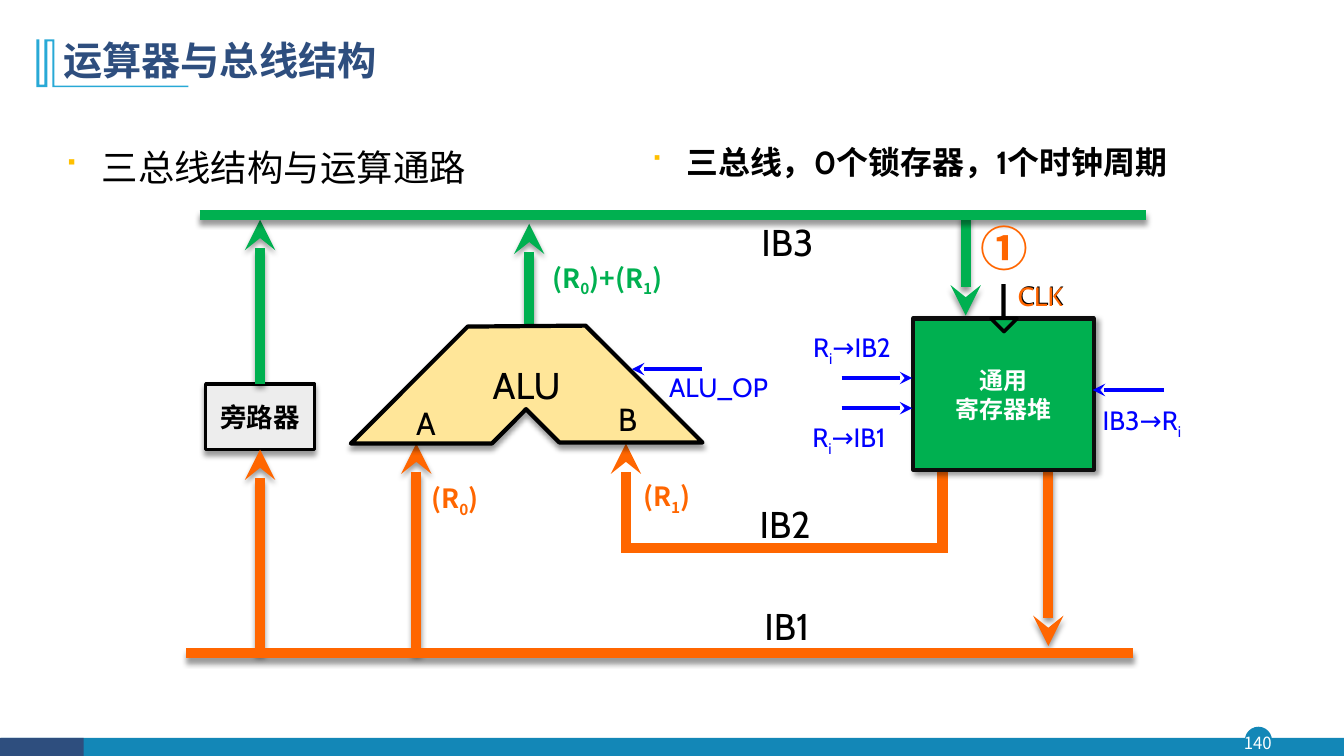
from pptx import Presentation
from pptx.dml.color import RGBColor
from pptx.enum.shapes import MSO_CONNECTOR, MSO_SHAPE
from pptx.enum.text import MSO_ANCHOR, MSO_AUTO_SIZE, PP_ALIGN
from pptx.oxml.ns import qn
from pptx.util import Pt
from lxml import etree

RECT, OVAL, TRI = MSO_SHAPE.RECTANGLE, MSO_SHAPE.OVAL, MSO_SHAPE.ISOSCELES_TRIANGLE
STRAIGHT = MSO_CONNECTOR.STRAIGHT
TOP, MID = MSO_ANCHOR.TOP, MSO_ANCHOR.MIDDLE
LEFT, MIDDLE, RIGHT, JUST = PP_ALIGN.LEFT, PP_ALIGN.CENTER, PP_ALIGN.RIGHT, PP_ALIGN.JUSTIFY
FIT = MSO_AUTO_SIZE.SHAPE_TO_FIT_TEXT

NOTO, CABIN = "Noto Sans CJK SC", "Cabin"
BLACK, WHITE, BLUE = "000000", "FFFFFF", "0000FF"
GREEN, ORANGE, GOLD = "00B050", "FF6600", "FFC000"
NAVY, TEAL, SKY = "2E4E7E", "1387B7", "28A9D6"
BUS, THIN = 7.25, 3
BY_X, A_X, B_X, OUT_X = 185.8, 297.4, 447.1, 673.2
TOP_Y, LOW_Y, TURN_Y, REG_Y = 153.4, 466.6, 391.7, 335.5

BARS = [(OVAL, (889.2, 519.1, 19.4, 19.4), TEAL),
        (RECT, (0.7, 527, 959.3, 13.7), TEAL),
        (RECT, (0, 527, 59.8, 13.7), NAVY)]
MARK = [(38.9, 28.1), (38.9, 61.2), (134.6, 61.2), (134.6, 62.3), (37.4, 62.3),
        (37.4, 29.5), (33.8, 29.5), (33.8, 62.3), (25.9, 62.3), (25.9, 28.1),
        (28.1, 28.1), (28.1, 60.5), (31.7, 60.5), (31.7, 28.1)]
ALU = [(334.1, 233.3), (250.6, 316.8), (351.4, 316.8), (375.8, 292.3),
       (399.6, 316.1), (501.8, 316.1), (418.3, 232.6)]
BYPASS = (146.9, 274.3, 77.8, 46.8)
REG = (652.3, 227.5, 128.9, 108)
NOTCH = (707.8, 227.5, 18.7, 9.4)

# begin, end, colour, width, arrow, shadow
FLOWS = [((A_X, LOW_Y), (A_X, 316.8), ORANGE, BUS, True, True),
         ((689.8, TOP_Y), (689.8, 225.4), GREEN, BUS, True, True),
         ((748.8, REG_Y), (748.8, 461.5), ORANGE, BUS, True, True),
         ((378, 233.3), (378, 159.8), GREEN, BUS, True, True),
         ((B_X, TURN_Y), (B_X, 316.8), ORANGE, BUS, True, False),
         ((OUT_X + BUS / 2, TURN_Y), (B_X - BUS / 2, TURN_Y), ORANGE, BUS, False, False),
         ((OUT_X, TURN_Y), (OUT_X, REG_Y), ORANGE, BUS, False, False)]
BUSES = [((142.6, TOP_Y), (818.6, TOP_Y), GREEN, BUS, False, True),
         ((133.2, LOW_Y), (809.3, LOW_Y), ORANGE, BUS, False, True)]
SIGNALS = [((501.8, 263.7), (451.4, 263.7)), ((601.2, 270), (651.6, 270)),
           ((601.2, 291.6), (651.6, 291.6)), ((831.6, 278.6), (780.5, 278.6))]

NAMES = [("IB2", 527.8, 354.2, 58.3, 39.6, 26.6), ("IB1", 529.9, 427.7, 55.4, 39.6, 26.6),
         ("IB3", 529.9, 153.4, 58.3, 39.6, 26.6), ("A", 286.6, 284.4, 31.7, 34.6, 22.8),
         ("B", 432, 282.2, 30.2, 34.6, 22.8)]
TAGS = [("ALU_OP", 470.9, 261.4, BLUE), ("R|i|→IB2", 573.8, 233.3, BLUE),
        ("IB3→R|i", 780.5, 285.1, BLUE), ("R|i|→IB1", 573.1, 297.4, BLUE),
        ("CLK", 720.7, 195.8, BLACK), ("CLK", 720, 196.6, ORANGE)]
VALUES = [("①", 693.4, 173.5, 49.7, 31, 34.1, ORANGE),
          ("(R|0|)+(R|1|)", 387.4, 189.4, 102.2, 27.4, 18.9, GREEN),
          ("(R|1|)", 452.2, 345.6, 51.8, 27.4, 18.9, ORANGE),
          ("(R|0|)", 301, 347, 51.8, 27.4, 18.9, ORANGE)]
POINTS = [("三总线结构与运算通路", (38.2, 84.2, 828, 62.7), 26, NOTO, False, JUST, 27.4),
          ("三总线，0个锁存器，1个时钟周期", (457.2, 84.9, 407.5, 43.9), 22.8, CABIN, True, LEFT, 25.9)]


def rgb(code):
    """Turn a hex string into a colour."""
    return RGBColor.from_string(code)


def pts(nums):
    """Turn numbers into lengths in points."""
    return [Pt(n) for n in nums]


def shade(shape, angle=90):
    """Give a shape a soft dark shadow."""
    props = shape._element.spPr
    for old in props.findall(qn("a:effectLst")):
        props.remove(old)
    list_ = etree.SubElement(props, qn("a:effectLst"))
    cast = etree.SubElement(list_, qn("a:outerShdw"), blurRad=str(Pt(4)), dist=str(Pt(3)),
                            dir=str(angle * 60000), algn="ctr", rotWithShape="0")
    tone = etree.SubElement(cast, qn("a:srgbClr"), val=BLACK)
    etree.SubElement(tone, qn("a:alpha"), val="40000")


def paint(shape, fill, edge=None, width=1):
    """Set the fill and outline of a shape."""
    shape.shadow.inherit = False
    shape.fill.solid()
    shape.fill.fore_color.rgb = rgb(fill)
    if edge:
        shape.line.color.rgb = rgb(edge)
        shape.line.width = Pt(width)
    else:
        shape.line.fill.background()
    return shape


def write(shape, text, size, font, color, bold=False, align=LEFT, anchor=TOP, space=None):
    """Write text whose parts between bars are subscripts."""
    frame = shape.text_frame
    frame.vertical_anchor = anchor
    frame.text = text.replace("|", "")
    for para, row in zip(frame.paragraphs, text.split("\n")):
        para.alignment = align
        para.line_spacing = space
        parts = row.split("|")
        para.runs[0].text = parts[0]
        for part in parts[1:]:
            if part:
                para.add_run().text = part
        for i, run in enumerate(para.runs):
            run.font.size, run.font.bold, run.font.name = Pt(size), bold, font
            run.font.color.rgb = rgb(color)
            props = run._r.get_or_add_rPr()
            props.find(qn("a:latin")).addnext(props.makeelement(qn("a:ea"), {"typeface": NOTO}))
            if i % 2:
                props.set("baseline", "-25000")
    return frame


def label(slide, place, text, *style, wrap=True, fit=False, **more):
    """Add a text box."""
    box = slide.shapes.add_textbox(*pts(place))
    frame = write(box, text, *style, **more)
    frame.word_wrap = wrap
    if fit:
        frame.auto_size = FIT
    return frame


def outline(slide, spots):
    """Add a closed polygon."""
    spots = [pts(spot) for spot in spots]
    form = slide.shapes.build_freeform(*spots[0])
    form.add_line_segments(spots[1:], close=True)
    return form.convert_to_shape()


def link(slide, start, end, color, width, arrow=False, shadow=False):
    """Add a straight line or arrow."""
    wire = slide.shapes.add_connector(STRAIGHT, *pts(start + end))
    wire.line.color.rgb = rgb(color)
    wire.line.width = Pt(width)
    if arrow:
        etree.SubElement(wire.line._get_or_add_ln(), qn("a:tailEnd"), type="stealth")
    if shadow:
        shade(wire)
    else:
        etree.SubElement(wire._element.spPr, qn("a:effectLst"))
    return wire


def bullet(para, indent):
    """Give a paragraph a gold square bullet."""
    props = para._p.get_or_add_pPr()
    props.set("marL", str(Pt(indent)))
    props.set("indent", str(-Pt(indent)))
    tint = etree.SubElement(props, qn("a:buClr"))
    etree.SubElement(tint, qn("a:srgbClr"), val=GOLD)
    etree.SubElement(props, qn("a:buFont"), typeface="Wingdings")
    etree.SubElement(props, qn("a:buChar"), char="■")


def main():
    """Build the bus structure slide."""
    deck = Presentation()
    deck.slide_width, deck.slide_height = Pt(960), Pt(540)
    slide = deck.slides.add_slide(deck.slide_layouts[6])
    add = slide.shapes.add_shape

    for kind, place, fill in BARS:
        paint(add(kind, *pts(place)), fill)
    page = label(slide, (887, 519.1, 23, 22.3), "140", 12, NOTO, WHITE, align=MIDDLE, anchor=MID)
    page.margin_left = page.margin_right = page.margin_top = page.margin_bottom = 0
    paint(outline(slide, MARK), SKY)
    label(slide, (38.2, 20.2, 828, 49), "运算器与总线结构", 28, NOTO, NAVY, True, anchor=MID, space=0.9)
    for text, place, size, font, bold, align, indent in POINTS:
        frame = label(slide, place, text, size, font, BLACK, bold, align, space=1.5)
        bullet(frame.paragraphs[0], indent)

    for flow in FLOWS:
        link(slide, *flow)
    alu = paint(outline(slide, ALU), "FFE699", BLACK, THIN)
    shade(alu)
    write(alu, "ALU", 26.6, CABIN, BLACK, align=MIDDLE, anchor=MID)
    pass_ = paint(add(RECT, *pts(BYPASS)), "EDEDED", BLACK, 2.5)
    shade(pass_)
    write(pass_, "旁路器", 18.9, CABIN, BLACK, True, MIDDLE, MID)
    link(slide, (BY_X, LOW_Y), (BY_X, 321.1), ORANGE, BUS, True, True).end_connect(pass_, 2)
    link(slide, (BY_X, 274.3), (BY_X, 157), GREEN, BUS, True, True).begin_connect(pass_, 0)
    for bus in BUSES:
        link(slide, *bus)

    reg = paint(add(RECT, *pts(REG)), GREEN, "0D0D0D", THIN)
    shade(reg, 45)
    write(reg, "通用\n寄存器堆", 17.1, NOTO, WHITE, True, MIDDLE, MID)
    link(slide, (716.8, 203), (716.8, 227.5), BLACK, THIN).end_connect(reg, 0)
    paint(add(TRI, *pts(NOTCH)), GREEN, BLACK, 2.5).rotation = 180
    for start, end in SIGNALS:
        link(slide, start, end, BLUE, THIN, True)

    for text, *place, size in NAMES:
        label(slide, place, text, size, CABIN, BLACK, align=RIGHT, wrap=False, fit=True)
    for text, x, y, color in TAGS:
        label(slide, (x, y, 94.3, 24.5), text, 18.9, CABIN, color)
    for text, *place, size, color in VALUES:
        label(slide, place, text, size, NOTO, color, True, wrap=False, fit=True, space=Pt(19.8))
    deck.save("out.pptx")


if __name__ == "__main__":
    main()
